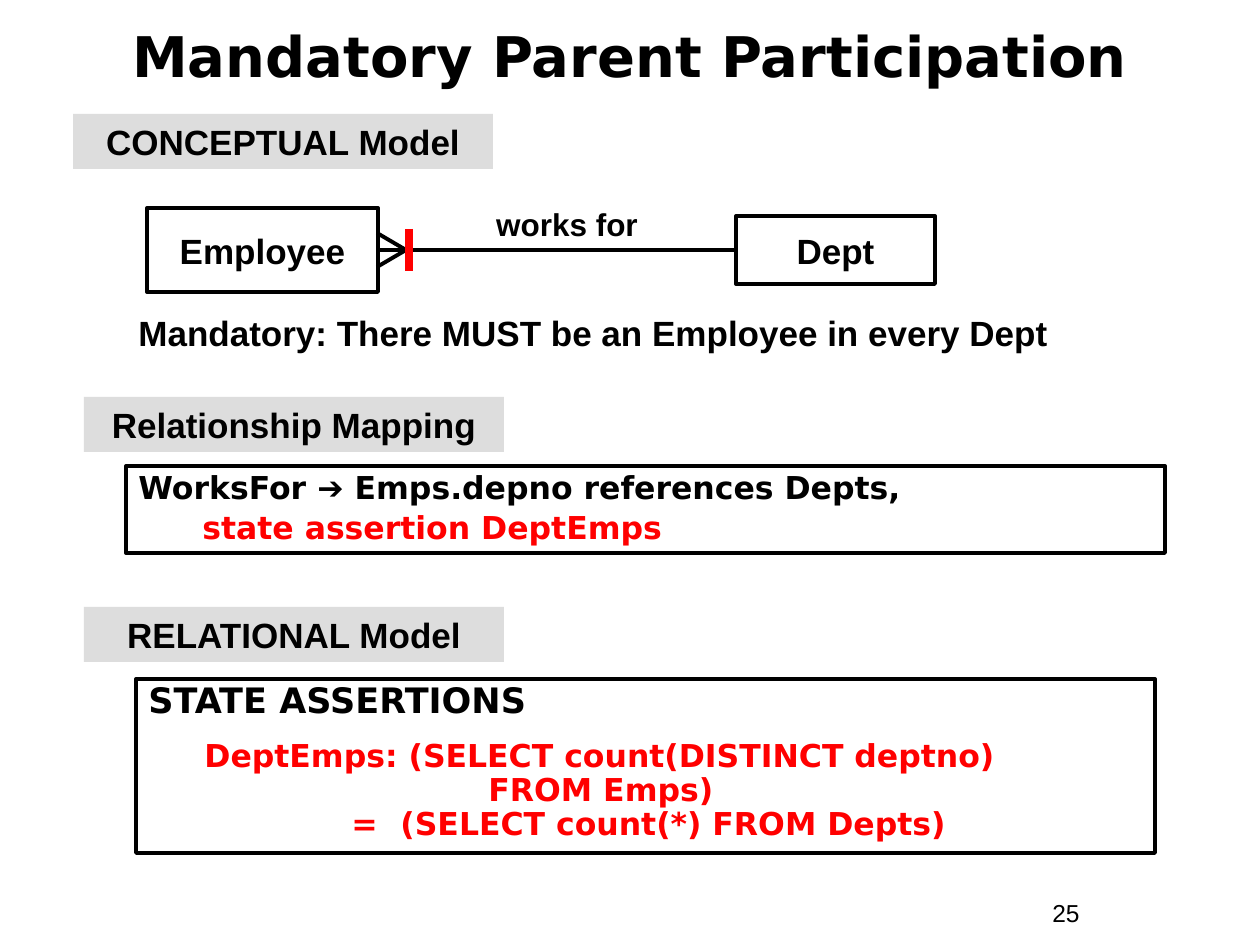
from lxml import etree
from pptx import Presentation
from pptx.dml.color import RGBColor
from pptx.enum.shapes import MSO_CONNECTOR, MSO_SHAPE
from pptx.enum.text import MSO_ANCHOR, MSO_AUTO_SIZE, PP_ALIGN
from pptx.oxml.ns import qn
from pptx.util import Emu, Pt

BLACK = RGBColor(0, 0, 0)
RED = RGBColor(0xFF, 0, 0)
GREY = RGBColor(0xDD, 0xDD, 0xDD)
ARIAL, DEJAVU = "Arial", "DejaVu Sans"
LEFT, CENTER = PP_ALIGN.LEFT, PP_ALIGN.CENTER
TOP, MIDDLE = MSO_ANCHOR.TOP, MSO_ANCHOR.MIDDLE
RECT, STRAIGHT = MSO_SHAPE.RECTANGLE, MSO_CONNECTOR.STRAIGHT
SITE_LEFT, SITE_RIGHT = 1, 3
PX = 914400 // 126


def px(*values):
    return [Emu(v * PX) for v in values]


def add_run(p, text, font=ARIAL, size=20, color=BLACK, bold=True):
    r = p.add_run()
    r.text = text
    f = r.font
    f.name, f.size, f.bold, f.color.rgb = font, Pt(size), bold, color


def write(tf, text, new=False, align=LEFT, spacing=None, before=0, indent=0,
          tabs=(), **fmt):
    """Write one paragraph, in the first one of the frame unless new."""
    p = tf.add_paragraph() if new else tf.paragraphs[0]
    pPr = p._p.get_or_add_pPr()
    if tabs:
        tab_list = etree.SubElement(pPr, qn("a:tabLst"))
        for pos in tabs:
            etree.SubElement(tab_list, qn("a:tab"), pos=str(pos * PX), algn="l")
    if indent:
        pPr.set("marL", str(indent * PX))
    p.alignment = align
    p.space_before = Pt(before)
    if spacing:
        p.line_spacing = spacing
    if text:
        add_run(p, text, **fmt)
    return p


def add_box(s, x, y, w, h, fill=None, line=None, anchor=TOP):
    sp = s.shapes.add_shape(RECT, *px(x, y, w, h))
    sp.shadow.inherit = False
    if fill is None:
        sp.fill.background()
    else:
        sp.fill.solid()
        sp.fill.fore_color.rgb = fill
    if line is None:
        sp.line.fill.background()
    else:
        sp.line.color.rgb = line
        sp.line.width = Pt(2.25)
    sp.text_frame.word_wrap = True
    sp.text_frame.vertical_anchor = anchor
    return sp


def add_text(s, x, y, w, h, text, **fmt):
    tf = s.shapes.add_textbox(*px(x, y, w, h)).text_frame
    tf.word_wrap = True
    write(tf, text, **fmt)


def add_line(s, x1, y1, x2, y2, color=BLACK, width=2.25):
    c = s.shapes.add_connector(STRAIGHT, *px(x1, y1, x2, y2))
    c.line.color.rgb = color
    c.line.width = Pt(width)
    etree.SubElement(c._element.spPr, qn("a:effectLst"))
    return c


def add_title(s, x, y, w, h, text):
    sp = s.shapes.title
    sp.left, sp.top, sp.width, sp.height = px(x, y, w, h)
    tf = sp.text_frame
    tf.auto_size = MSO_AUTO_SIZE.NONE
    tf.vertical_anchor = MIDDLE
    write(tf, text, align=CENTER, font=DEJAVU, size=32)


def add_heading(s, x, y, text):
    sp = add_box(s, x, y, 420, 55, fill=GREY)
    write(sp.text_frame, text, align=CENTER)


def add_entity(s, x, mid, w, h, text):
    sp = add_box(s, x, mid - h // 2, w, h, line=BLACK, anchor=MIDDLE)
    sp.text_frame.word_wrap = False
    write(sp.text_frame, text, align=CENTER)
    return sp


def add_er_diagram(s, x, mid):
    """Two entities joined by a line with a crow's foot and mandatory bar."""
    employee = add_entity(s, x, mid, 231, 84, "Employee")
    dept = add_entity(s, x + 589, mid, 199, 68, "Dept")
    for dy in (-17, 17):
        add_line(s, x + 259, mid, x + 230, mid + dy)
    link = add_line(s, x + 589, mid, x + 231, mid)
    link.begin_connect(dept, SITE_LEFT)
    link.end_connect(employee, SITE_RIGHT)
    add_line(s, x + 262, mid - 21, x + 262, mid + 21, color=RED, width=4.5)
    add_text(s, x + 315, mid - 51, 210, 50, "works for", align=CENTER, size=18)
    add_text(s, x - 21, mid + 62, 1008, 49,
             "Mandatory: There MUST be an Employee in every Dept", spacing=0.85)


def add_mapping(s, x, y, w, h):
    tf = add_box(s, x, y, w, h, line=BLACK).text_frame
    p = write(tf, "", spacing=0.9)
    for text, font in (("WorksFor ", DEJAVU), ("➔", ARIAL),
                       (" Emps.depno references Depts,", DEJAVU)):
        add_run(p, text, font=font, size=18)
    write(tf, "state assertion DeptEmps", new=True, spacing=0.9, before=3.4,
          indent=64, font=DEJAVU, size=18, color=RED)


def add_assertions(s, x, y, w, h):
    tf = add_box(s, x, y, w, h, line=BLACK).text_frame
    write(tf, "STATE ASSERTIONS", spacing=0.85, font=DEJAVU)
    query = dict(new=True, spacing=0.9, font=DEJAVU, size=18, color=RED)
    write(tf, "DeptEmps: (SELECT count(DISTINCT deptno)", before=11.2,
          indent=56, **query)
    write(tf, "FROM Emps)", indent=340, **query)
    write(tf, "\t=\t(SELECT count(*) FROM Depts)", tabs=(203, 252), **query)


def main():
    prs = Presentation()
    prs.slide_width, prs.slide_height = px(1260, 945)
    s = prs.slides.add_slide(prs.slide_layouts[5])
    add_title(s, 42, 19, 1176, 73, "Mandatory Parent Participation")

    # Conceptual model
    add_heading(s, 73, 114, "CONCEPTUAL Model")
    add_er_diagram(s, 147, 250)

    # Relationship mapping
    add_heading(s, 84, 397, "Relationship Mapping")
    add_mapping(s, 126, 466, 1039, 87)

    # Relational model
    add_heading(s, 84, 607, "RELATIONAL Model")
    add_assertions(s, 136, 679, 1019, 174)

    # Page number
    add_text(s, 1040, 892, 116, 43, "25", size=14, bold=False)
    prs.save("out.pptx")


if __name__ == "__main__":
    main()
